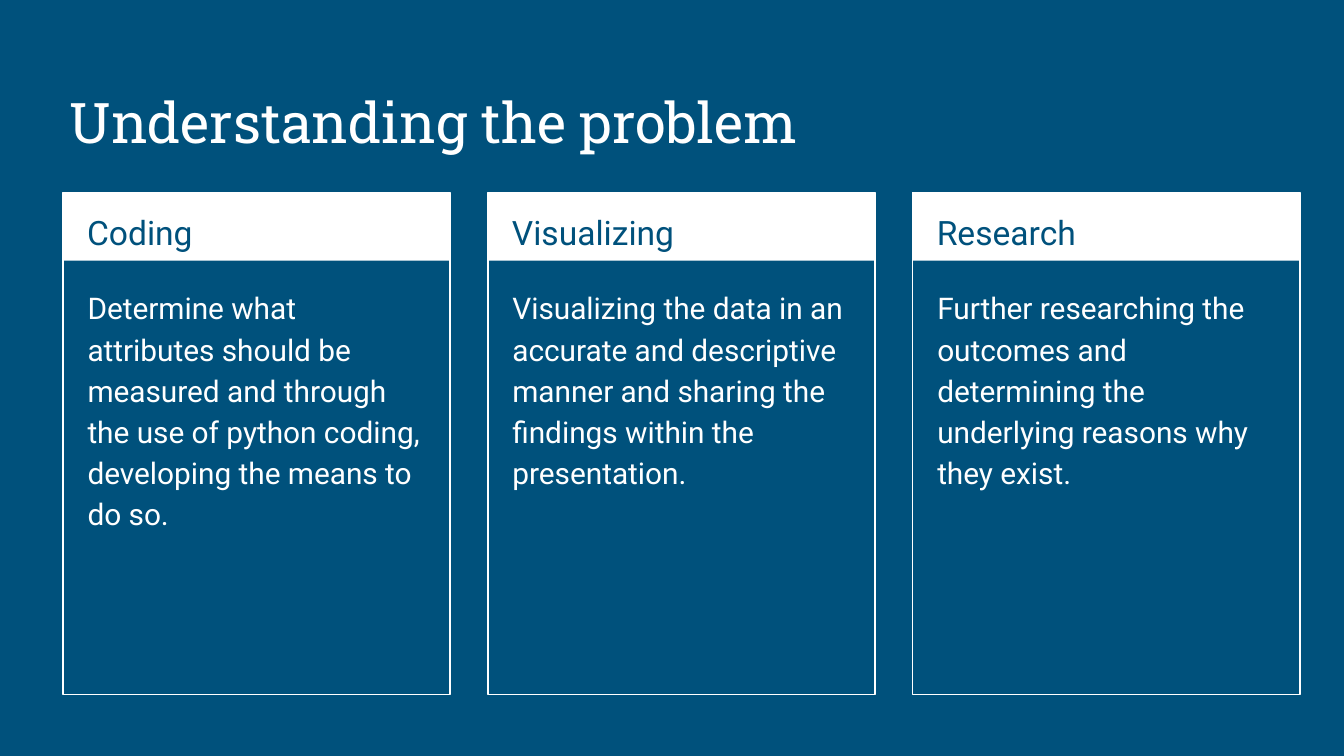
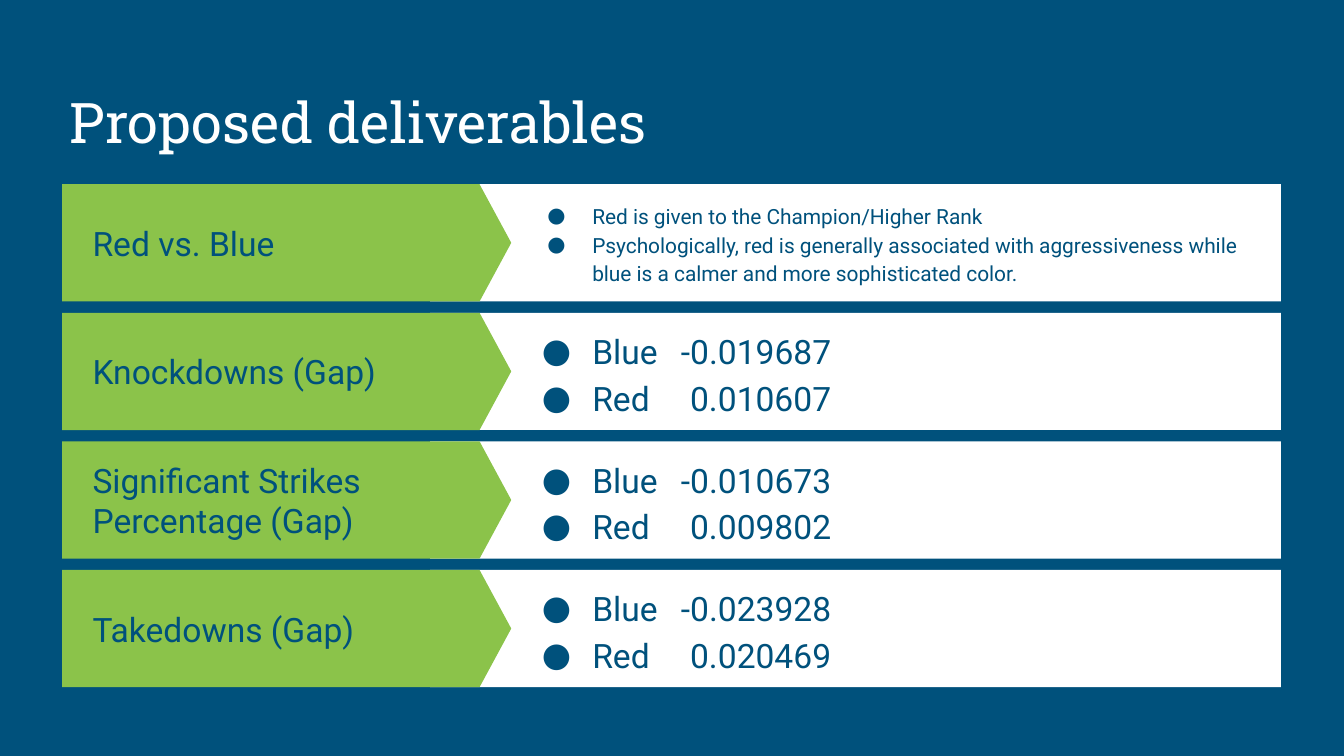
from dataclasses import dataclass

from lxml import etree
from pptx import Presentation
from pptx import util as u
from pptx.dml.color import RGBColor
from pptx.enum import shapes, text
from pptx.oxml import ns

NAVY, WHITE, GREEN = "00517C", "FFFFFF", "8BC34A"
BODY_FONT, TITLE_FONT = "Roboto", "Roboto Slab"
INSET = 7.2
LINE_SPACING = 1.15


@dataclass(frozen=True)
class Frame:
    left: float
    top: float
    width: float
    height: float


@dataclass(frozen=True)
class Style:
    size: float
    color: str = NAVY
    font: str = BODY_FONT
    anchor: text.MSO_ANCHOR = text.MSO_ANCHOR.TOP
    spacing: float = 1.0
    after: float = 0


@dataclass(frozen=True)
class Card:
    heading: str
    body: str


@dataclass(frozen=True)
class Deliverable:
    label: str
    points: tuple[str, ...]
    size: float = 18
    hanging: float = 27


TITLE = Style(30, WHITE, TITLE_FONT, text.MSO_ANCHOR.BOTTOM)
CARD_HEADING = Style(18, spacing=LINE_SPACING)
CARD_BODY = Style(16, WHITE, spacing=LINE_SPACING, after=12)
LABEL = Style(18, anchor=text.MSO_ANCHOR.MIDDLE)

CARD_LEFT, CARD_TOP, CARD_PITCH = 33.8, 103, 227.6
CARD_WIDTH, CARD_HEIGHT, HEADING_HEIGHT = 207.4, 269, 36.6
ROW_TOP, ROW_PITCH, ROW_HEIGHT = 98.7, 68.88, 62.8
POINT_INDENT, VALUE_TAB = 36, 164

CARDS = (
    Card(
        "Coding",
        "Determine what attributes should be measured and through the use of "
        "python coding, developing the means to do so.",
    ),
    Card(
        "Visualizing",
        "Visualizing the data in an accurate and descriptive manner and "
        "sharing the findings within the presentation.",
    ),
    Card(
        "Research",
        "Further researching the outcomes and determining the underlying "
        "reasons why they exist.",
    ),
)

DELIVERABLES = (
    Deliverable(
        "Red vs. Blue",
        (
            "Red is given to the Champion/Higher Rank",
            "Psychologically, red is generally associated with aggressiveness "
            "while blue is a calmer and more sophisticated color.",
        ),
        size=11.2,
        hanging=24,
    ),
    Deliverable("Knockdowns (Gap)", ("Blue\t-0.019687", "Red\t0.010607")),
    Deliverable(
        "Significant Strikes Percentage (Gap)",
        ("Blue\t-0.010673", "Red\t0.009802"),
    ),
    Deliverable("Takedowns (Gap)", ("Blue\t-0.023928", "Red\t0.020469")),
)


def rgb(color: str) -> RGBColor:
    return RGBColor.from_string(color)


def points(frame: Frame) -> tuple:
    return tuple(u.Pt(v) for v in (frame.left, frame.top, frame.width, frame.height))


def add_shape(page, kind, frame: Frame, fill: str | None = None, line: str | None = None):
    shape = page.shapes.add_shape(kind, *points(frame))
    shape.shadow.inherit = False
    if fill:
        shape.fill.solid()
        shape.fill.fore_color.rgb = rgb(fill)
    else:
        shape.fill.background()
    if line:
        shape.line.color.rgb = rgb(line)
        shape.line.width = u.Pt(0.75)
    else:
        shape.line.fill.background()
    return shape


def add_text(page, frame: Frame, lines: tuple[str, ...], style: Style):
    box = page.shapes.add_textbox(*points(frame))
    body = box.text_frame
    body.word_wrap = True
    body.vertical_anchor = style.anchor
    body.margin_left = body.margin_right = u.Pt(INSET)
    body.margin_top = body.margin_bottom = u.Pt(INSET)
    body.text = "\n".join(lines)
    for para in body.paragraphs:
        para.line_spacing = style.spacing
        para.space_after = u.Pt(style.after)
        for span in para.runs:
            span.font.size = u.Pt(style.size)
            span.font.name = style.font
            span.font.color.rgb = rgb(style.color)
    return box


def add_bullet(para, hanging: float) -> None:
    properties = para._p.get_or_add_pPr()
    properties.set("marL", str(u.Pt(POINT_INDENT)))
    properties.set("indent", str(-u.Pt(hanging)))
    color = etree.SubElement(properties, ns.qn("a:buClr"))
    etree.SubElement(color, ns.qn("a:srgbClr"), val=NAVY)
    etree.SubElement(properties, ns.qn("a:buFont"), typeface=BODY_FONT)
    etree.SubElement(properties, ns.qn("a:buChar"), char="●")
    if "\t" in para.text:
        tabs = etree.SubElement(properties, ns.qn("a:tabLst"))
        etree.SubElement(tabs, ns.qn("a:tab"), pos=str(u.Pt(VALUE_TAB)), algn="r")


def add_page(deck, title: str):
    page = deck.slides.add_slide(deck.slide_layouts[6])
    page.background.fill.solid()
    page.background.fill.fore_color.rgb = rgb(NAVY)
    add_text(page, Frame(30.2, 36, 658.8, 54), (title,), TITLE)
    return page


def add_card(page, card: Card, left: float) -> None:
    rectangle = shapes.MSO_SHAPE.RECTANGLE
    add_shape(page, rectangle, Frame(left, CARD_TOP, CARD_WIDTH, HEADING_HEIGHT), fill=WHITE)
    add_shape(page, rectangle, Frame(left, CARD_TOP, CARD_WIDTH, CARD_HEIGHT), line=WHITE)
    add_text(page, Frame(left + 5.8, CARD_TOP, 196.6, 36), (card.heading,), CARD_HEADING)
    add_text(page, Frame(left + 6, 145.4, 195.1, 220.3), (card.body,), CARD_BODY)


def add_deliverable(page, item: Deliverable, top: float) -> None:
    add_shape(
        page, shapes.MSO_SHAPE.RECTANGLE, Frame(230.4, top, 455.8, ROW_HEIGHT), fill=WHITE
    )
    arrow = add_shape(
        page, shapes.MSO_SHAPE.PENTAGON, Frame(33.3, top, 240.6, ROW_HEIGHT), fill=GREEN
    )
    arrow.adjustments[0] = 0.27
    add_text(page, Frame(42.5, top, 190.8, ROW_HEIGHT), (item.label,), LABEL)
    style = Style(item.size, anchor=text.MSO_ANCHOR.MIDDLE, spacing=LINE_SPACING)
    box = add_text(page, Frame(274.2, top, 402.5, ROW_HEIGHT), item.points, style)
    for para in box.text_frame.paragraphs:
        add_bullet(para, item.hanging)


def main() -> None:
    deck = Presentation()
    deck.slide_width, deck.slide_height = u.Pt(720), u.Pt(405)

    problem = add_page(deck, "Understanding the problem")
    for index, card in enumerate(CARDS):
        add_card(problem, card, CARD_LEFT + index * CARD_PITCH)

    proposal = add_page(deck, "Proposed deliverables")
    for index, item in enumerate(DELIVERABLES):
        add_deliverable(proposal, item, ROW_TOP + index * ROW_PITCH)

    deck.save("out.pptx")


if __name__ == "__main__":
    main()
